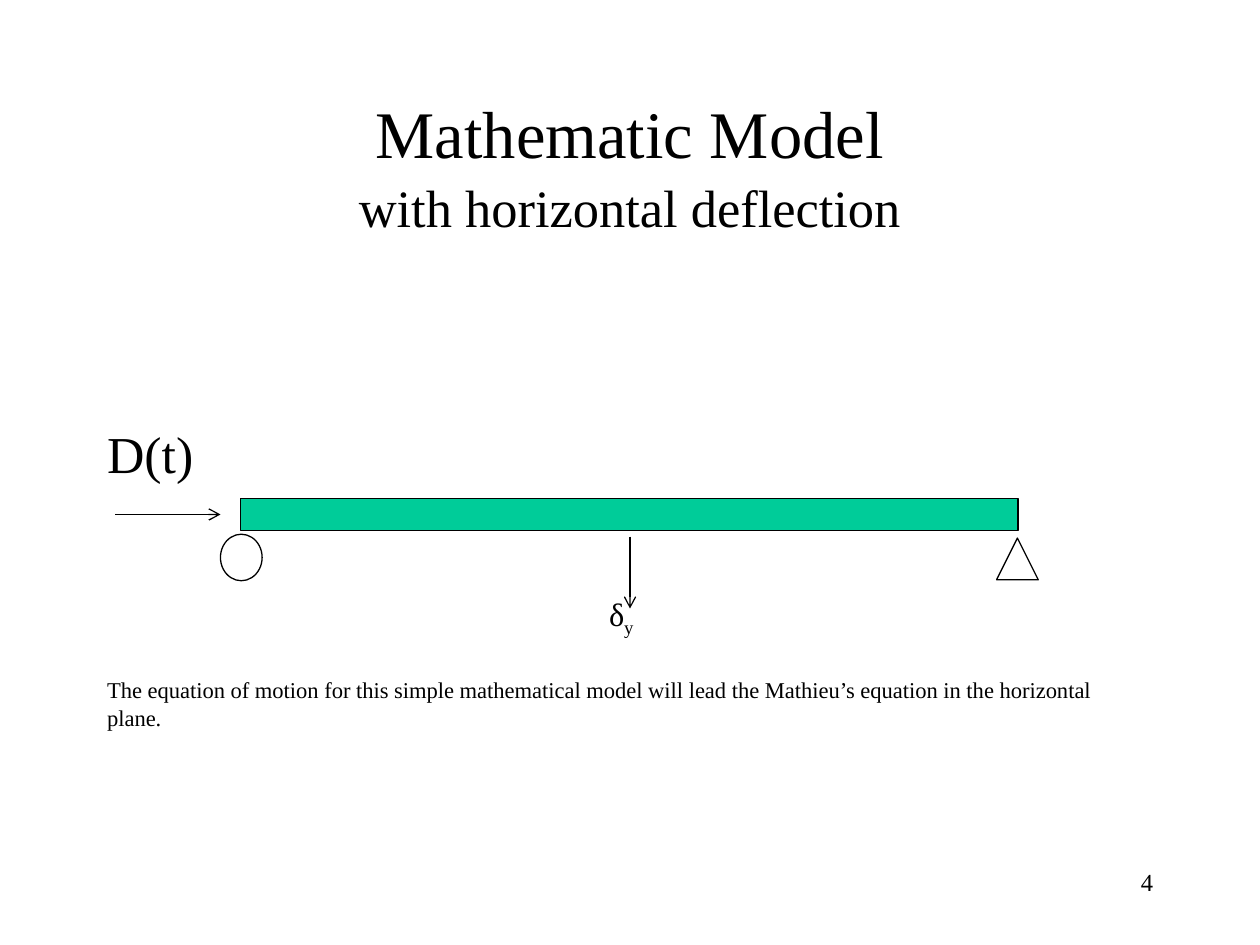
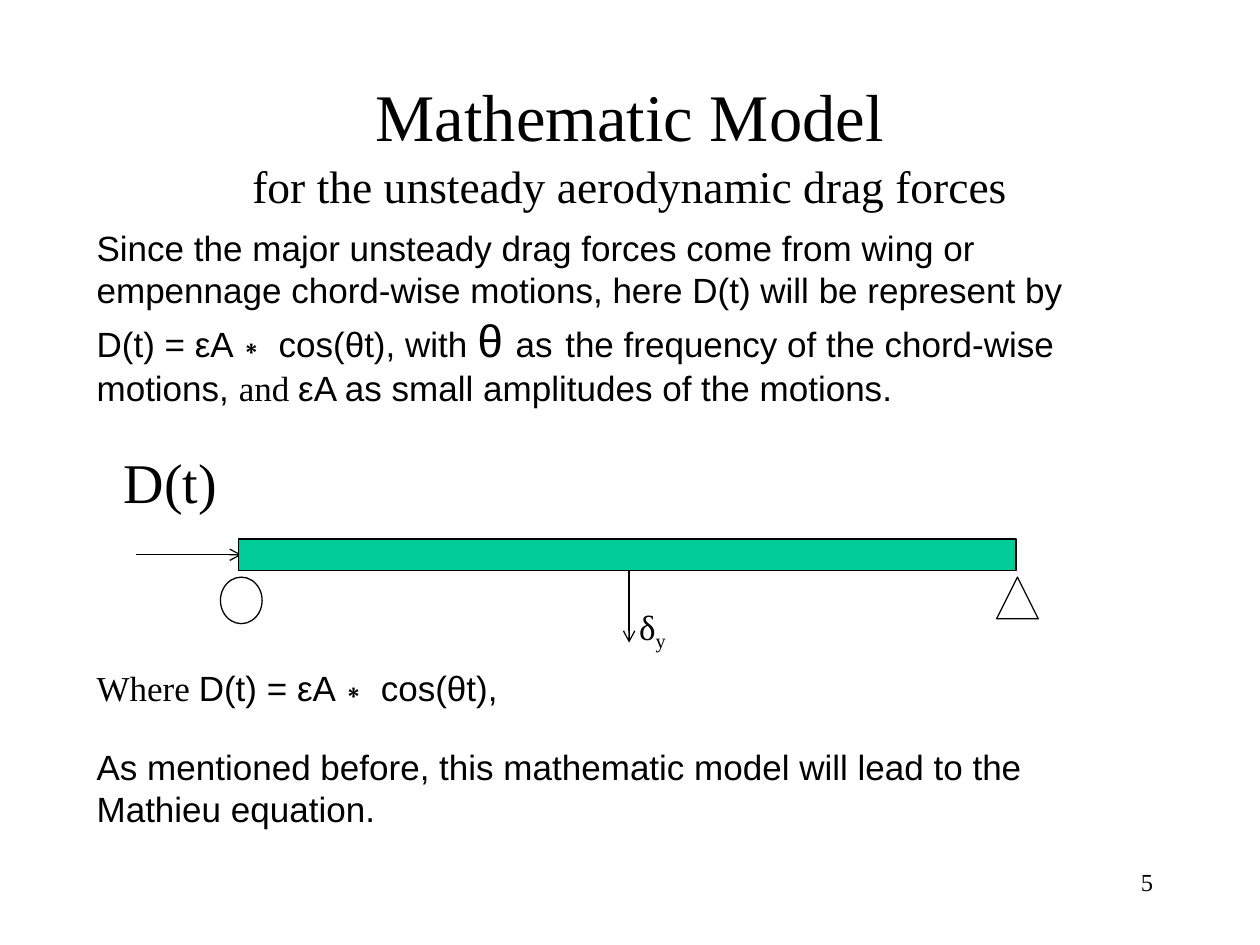
"""Build two slides on the mathematic model of a simply supported beam."""
from pptx import Presentation, util as u
from pptx.dml.color import RGBColor
from pptx.enum import shapes, text
from pptx.oxml.ns import qn
from lxml import etree

Pt = u.Pt
BLACK = RGBColor(0x00, 0x00, 0x00)
BEAM_GREEN = RGBColor(0x00, 0xCC, 0x99)
SERIF, SANS = "Times New Roman", "Arial"
LINE_WIDTH = 0.75
BEAM_SIZE = 444.2, 18
ROLLER_SIZE = 23.8, 26.6
PIN_SIZE = 23.8, 23.8
DEFLECTION_LENGTH = 41
SUBSCRIPT = "-25000"


def apply(target, values):
    """Set every attribute in values on target."""
    for name, value in values.items():
        setattr(target, name, value)


class Deck:
    """Hold the shared style and the current slide."""

    def __init__(self):
        """Start a 10 by 7.5 inch presentation."""
        self.presentation = Presentation()
        apply(self.presentation, {"slide_width": Pt(720), "slide_height": Pt(540)})
        self.slide = None

    def new_slide(self):
        """Add a slide with a title and a body placeholder."""
        self.slide = self.presentation.slides.add_slide(self.presentation.slide_layouts[1])

    def place(self, shape, left, top, width, height):
        """Move and size a shape."""
        apply(shape, {"left": Pt(left), "top": Pt(top), "width": Pt(width), "height": Pt(height)})

    def run(self, paragraph, words, size, font=SERIF, baseline=None):
        """Add one formatted run to a paragraph."""
        run = paragraph.add_run()
        run.text = words
        apply(run.font, {"size": Pt(size), "name": font})
        run.font.color.rgb = BLACK
        if baseline:
            run.font._element.set("baseline", baseline)

    def title(self, top, heading, subtitle, subtitle_size):
        """Fill the title with a heading and a smaller second line."""
        shape = self.slide.shapes.title
        self.place(shape, 54, top, 612, 90)
        apply(shape.text_frame, {"auto_size": text.MSO_AUTO_SIZE.NONE,
                                 "vertical_anchor": text.MSO_ANCHOR.MIDDLE})
        paragraph = shape.text_frame.paragraphs[0]
        apply(paragraph, {"alignment": text.PP_ALIGN.CENTER, "line_spacing": 1.05})
        self.run(paragraph, heading, 38)
        paragraph.add_line_break()
        self.run(paragraph, subtitle, subtitle_size)

    def body(self, left, top, height, margin_top, paragraphs):
        """Fill the body from (space before, line pitch, indent, runs) rows."""
        shape = self.slide.placeholders[1]
        self.place(shape, left, top, 606, height)
        frame = shape.text_frame
        apply(frame, {"auto_size": text.MSO_AUTO_SIZE.NONE, "margin_top": Pt(margin_top)})
        for index, (before, pitch, indent, runs) in enumerate(paragraphs):
            paragraph = frame.add_paragraph() if index else frame.paragraphs[0]
            apply(paragraph, {"space_before": Pt(before), "line_spacing": Pt(pitch)})
            properties = paragraph._p.get_or_add_pPr()
            properties.set("marL", str(Pt(indent)))
            properties.set("indent", "0")
            etree.SubElement(properties, qn("a:buNone"))
            for run in runs:
                self.run(paragraph, *run)

    def outline(self, kind, left, top, size, fill=None):
        """Draw a thinly outlined preset shape."""
        shape = self.slide.shapes.add_shape(kind, Pt(left), Pt(top), *map(Pt, size))
        shape.shadow.inherit = False
        if fill is None:
            shape.fill.background()
        else:
            shape.fill.solid()
            shape.fill.fore_color.rgb = fill
        shape.line.color.rgb = BLACK
        shape.line.width = Pt(LINE_WIDTH)

    def arrow(self, *ends):
        """Draw an open-headed arrow from (x, y) to (x, y)."""
        line = self.slide.shapes.add_connector(shapes.MSO_CONNECTOR.STRAIGHT, *map(Pt, ends))
        line.line.color.rgb = BLACK
        line.line.width = Pt(LINE_WIDTH)
        etree.SubElement(line.line._get_or_add_ln(), qn("a:tailEnd"), type="arrow")
        etree.SubElement(line._element.spPr, qn("a:effectLst"))

    def beam(self, left, top, drag, roller_top, pin_top, deflection):
        """Draw the beam with its supports, drag force and deflection."""
        middle = top + BEAM_SIZE[1] / 2
        kind = shapes.MSO_SHAPE
        self.arrow(drag[0], middle, drag[1], middle)
        self.outline(kind.RECTANGLE, left, top, BEAM_SIZE, BEAM_GREEN)
        self.outline(kind.FLOWCHART_EXTRACT, 569.5, pin_top, PIN_SIZE)
        self.outline(kind.FLOWCHART_CONNECTOR, 126, roller_top, ROLLER_SIZE)
        x, y = deflection
        self.arrow(x, y, x, y + DEFLECTION_LENGTH)

    def page_number(self, number):
        """Write the page number at the lower right."""
        frame = self.slide.shapes.add_textbox(Pt(516), Pt(492), Pt(150), Pt(36)).text_frame
        frame.word_wrap = True
        paragraph = frame.paragraphs[0]
        paragraph.alignment = text.PP_ALIGN.RIGHT
        self.run(paragraph, str(number), 14)


def deflection_label(size):
    """Return the runs of the deflection symbol."""
    return [("δ", size), ("y", size, SERIF, SUBSCRIPT)]


def main():
    """Build and save both slides."""
    deck = Deck()
    heading = "Mathematic Model"
    drag_formula = "D(t) = εΑ∗ cos(θt),"

    deck.new_slide()
    deck.title(48, heading, "with horizontal deflection", 30)
    deck.body(54, 150, 318, 92.7, [
        (0, 34, 0, [("D(t)", 29.6)]),
        (63.8, 24, 286.8, deflection_label(18.5)),
        (21.2, 16, 0, [("The equation of motion for this simple mathematical model will lead "
                        "the Mathieu’s equation in the horizontal plane.", 12.9)]),
    ])
    deck.beam(137.5, 285, (66, 126), 305.3, 307.5, (360, 306.7))
    deck.page_number(4)

    deck.new_slide()
    deck.title(36, heading, "for the unsteady aerodynamic drag forces", 26)
    deck.body(48, 126, 366, 3.6, [
        (0, 24, 0, [("Since the major unsteady drag forces come from wing or empennage "
                     "chord-wise motions, here D(t) will be represent by", 20, SANS)]),
        (8, 24, 0, [(drag_formula + " with ", 20, SANS), ("θ ", 26, SANS), ("as", 20, SANS),
                    (" ", 26, SANS),
                    ("the frequency of the chord-wise motions, ", 20, SANS), ("and ", 20),
                    ("εΑ as small amplitudes of the motions.", 20, SANS)]),
        (24.7, 36, 15.5, [("D(t)", 32)]),
        (52.7, 26, 310, deflection_label(20)),
        (7.8, 24, 0, [("Where ", 20), (drag_formula, 20, SANS)]),
        (21.2, 24, 0, [("As mentioned before, this mathematic model will lead to the "
                        "Mathieu equation.", 20, SANS)]),
    ])
    deck.beam(136.5, 308, (78, 138), 329.8, 329.8, (359.5, 326.2))
    deck.page_number(5)

    deck.presentation.save("out.pptx")


if __name__ == "__main__":
    main()
